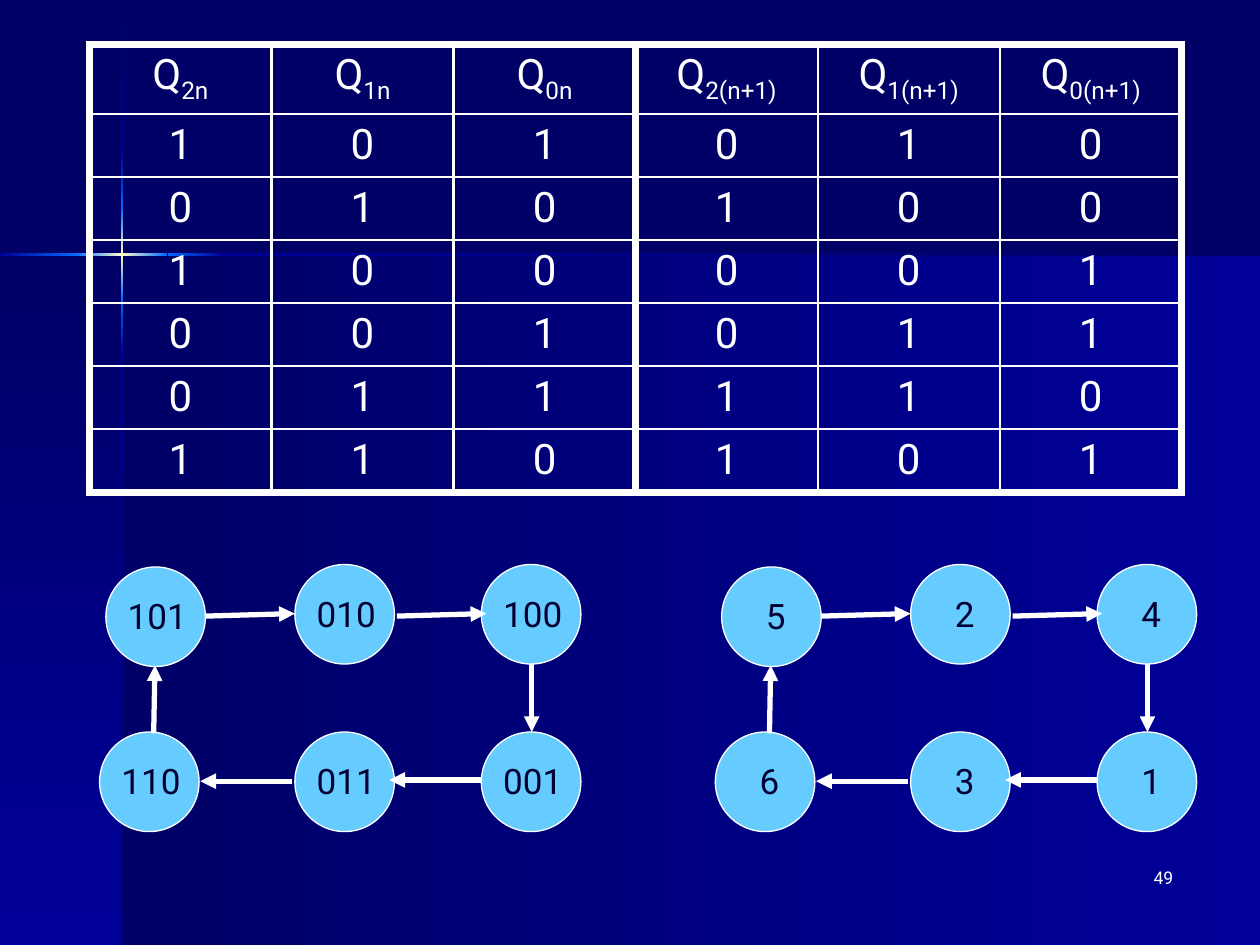
import dataclasses
import itertools

import pptx
import pptx.dml.color
import pptx.enum.shapes
import pptx.enum.text
import pptx.oxml
import pptx.oxml.ns
import pptx.util
from lxml import etree

COLORS = {
    "deep": "000066", "mid": "000099", "bright": "0066FF", "glow": "FFFFCC",
    "white": "FFFFFF", "node": "66CCFF", "ink": "000033",
}
FONT = "Roboto"
COLUMNS, ROWS = 100, 75  # slide grid
CELL = pptx.util.Inches(0.1)

HEADERS = ["2n", "1n", "0n", "2(n+1)", "1(n+1)", "0(n+1)"]
TRANSITIONS = ["101010", "010100", "100001", "001011", "011110", "110101"]

# Clockwise from top left, in grid cells from the corner of the diagram
NODE_SIZE = 7.9
NODE_SPOTS = [(0.5, 0.2), (15.5, 0), (30.3, 0), (30.3, 13.3), (15.5, 13.3), (0, 13.3)]
ARROWS = [
    ((8.4, 4.1), (15.5, 3.9)), ((23.6, 4.1), (30.7, 3.9)), ((34.3, 7.9), (34.3, 13.3)),
    ((30.3, 17.1), (23, 17.1)), ((15.3, 17.2), (8, 17.2)), ((4.3, 13.4), (4.4, 8)),
]


@dataclasses.dataclass
class Box:
    """An area in grid cells."""
    left: float
    top: float
    width: float
    height: float

    def inner(self, left, top, width, height):
        return Box(self.left + left, self.top + top, width, height)

    def lengths(self):
        return [round(cells * CELL) for cells in dataclasses.astuple(self)]


def rgb(name):
    return pptx.dml.color.RGBColor.from_string(COLORS[name])


def add_xml(parent, tag, **attributes):
    child = etree.SubElement(parent, pptx.oxml.ns.qn(tag))
    for name, value in attributes.items():
        child.set(name, str(value))
    return child


def style_paragraph(para, size, color, align):
    para.alignment = align
    para.font.size = pptx.util.Pt(size)
    para.font.name = FONT
    para.font.color.rgb = rgb(color)


def add_label(page, box, text, size, color, align):
    frame = page.shapes.add_textbox(*box.lengths()).text_frame
    frame.word_wrap = True
    frame.text = text
    style_paragraph(frame.paragraphs[0], size, color, align)


def add_gradient(page, box, names, downward):
    """Rectangle shaded evenly through the named colours."""
    panel = page.shapes.add_shape(pptx.enum.shapes.MSO_SHAPE.RECTANGLE, *box.lengths())
    panel.shadow.inherit = False
    panel.line.fill.background()
    panel.fill.gradient()
    panel.fill.gradient_angle = 270 if downward else 0
    stops = panel.element.spPr.find(".//" + pptx.oxml.ns.qn("a:gsLst"))
    for stop in list(stops):
        stops.remove(stop)
    for index, name in enumerate(names):
        stop = add_xml(stops, "a:gs", pos=100000 * index // (len(names) - 1))
        add_xml(stop, "a:srgbClr", val=COLORS[name])


def add_backdrop(page, box):
    """Two shaded panels and a glowing cross where they meet."""
    cross_x, cross_y, beam = 9.7, 20.2, 0.2
    below = box.height - cross_y
    add_gradient(page, box.inner(cross_x, cross_y, box.width - cross_x, below),
                 ["deep", "mid"], False)
    add_gradient(page, box.inner(0, cross_y, cross_x, below), ["deep", "mid"], True)

    fades = [["deep", "mid"], ["mid", "bright"], ["bright", "glow", "bright"],
             ["bright", "mid"], ["mid", "deep"]]
    upright = itertools.pairwise([0.1, 12.1, 16.5, 23.8, 28.2, box.height])
    for (start, end), names in zip(upright, fades):
        add_gradient(page, box.inner(cross_x - beam / 2, start, beam, end - start), names, True)
    level = itertools.pairwise([0, 6, 13.3, 17.7, box.width])
    for (start, end), names in zip(level, fades[1:]):
        add_gradient(page, box.inner(start, cross_y - beam / 2, end - start, beam), names, False)


def set_borders(cell, widths):
    properties = cell._tc.get_or_add_tcPr()
    for tag, width in zip(["a:lnL", "a:lnR", "a:lnT", "a:lnB"], widths):
        line = add_xml(properties, tag, w=pptx.util.Pt(width))
        add_xml(add_xml(line, "a:solidFill"), "a:srgbClr", val=COLORS["white"])


def add_state_table(page, box):
    row_count, column_count = len(TRANSITIONS) + 1, len(HEADERS)
    table = page.shapes.add_table(row_count, column_count, *box.lengths()).table
    table.first_row = table.horz_banding = False
    for column in table.columns:
        column.width = round(box.width / column_count * CELL)
    for row in table.rows:
        row.height = pptx.util.Inches(0.44)

    thin, thick = 1.5, 4.5
    half = column_count // 2
    for row, column in itertools.product(range(row_count), range(column_count)):
        cell = table.cell(row, column)
        para = cell.text_frame.paragraphs[0]
        if row == 0:
            para.add_run().text = "Q"
            span = para.add_run()
            span.text = HEADERS[column]
            span.font._element.set("baseline", "-25000")
        else:
            para.add_run().text = TRANSITIONS[row - 1][column]
        style_paragraph(para, 24, "white", pptx.enum.text.PP_ALIGN.CENTER)
        edges = [column % half == 0, column % half == half - 1, row == 0, row == row_count - 1]
        set_borders(cell, [thick if edge else thin for edge in edges])
        cell.fill.background()


def add_arrow(page, box, start, end):
    points = [round(cells * CELL) for cells in (
        box.left + start[0], box.top + start[1], box.left + end[0], box.top + end[1])]
    arrow = page.shapes.add_connector(pptx.enum.shapes.MSO_CONNECTOR.STRAIGHT, *points)
    arrow.line.color.rgb = rgb("white")
    arrow.line.width = pptx.util.Pt(3)
    add_xml(arrow.line._get_or_add_ln(), "a:tailEnd", type="triangle")
    add_xml(arrow._element.spPr, "a:effectLst")


def add_state_ring(page, box, labels, align):
    for (left, top), label in zip(NODE_SPOTS, labels):
        spot = box.inner(left, top, NODE_SIZE, NODE_SIZE)
        node = page.shapes.add_shape(pptx.enum.shapes.MSO_SHAPE.OVAL, *spot.lengths())
        node.shadow.inherit = False
        node.fill.solid()
        node.fill.fore_color.rgb = rgb("node")
        node.line.color.rgb = rgb("white")
        node.line.width = pptx.util.Pt(0.75)
        add_label(page, spot.inner(0.75, 1.7, 7.1, 4.4), label, 20, "ink", align)
    for start, end in ARROWS:
        add_arrow(page, box, start, end)


def main():
    deck = pptx.Presentation()
    deck.slide_width, deck.slide_height = COLUMNS * CELL, ROWS * CELL
    page = deck.slides.add_slide(deck.slide_layouts[6])
    page.background.fill.solid()
    page.background.fill.fore_color.rgb = rgb("deep")

    align = pptx.enum.text.PP_ALIGN
    states = [row[:3] for row in TRANSITIONS]
    order = ["101", "010", "100", "001", "011", "110"]
    add_backdrop(page, Box(0, 0, COLUMNS, ROWS))
    add_label(page, Box(73.3, 68.3, 20.8, 5), "49", 10, "white", align.RIGHT)
    add_state_table(page, Box(7.1, 3.5, 86.7, 35))
    add_state_ring(page, Box(7.9, 44.8, 38.2, 21.2), states, align.LEFT)
    add_state_ring(page, Box(56.77, 44.8, 38.2, 21.2),
                   [str(int(state, 2)) for state in order], align.CENTER)
    deck.save("out.pptx")


if __name__ == "__main__":
    main()
